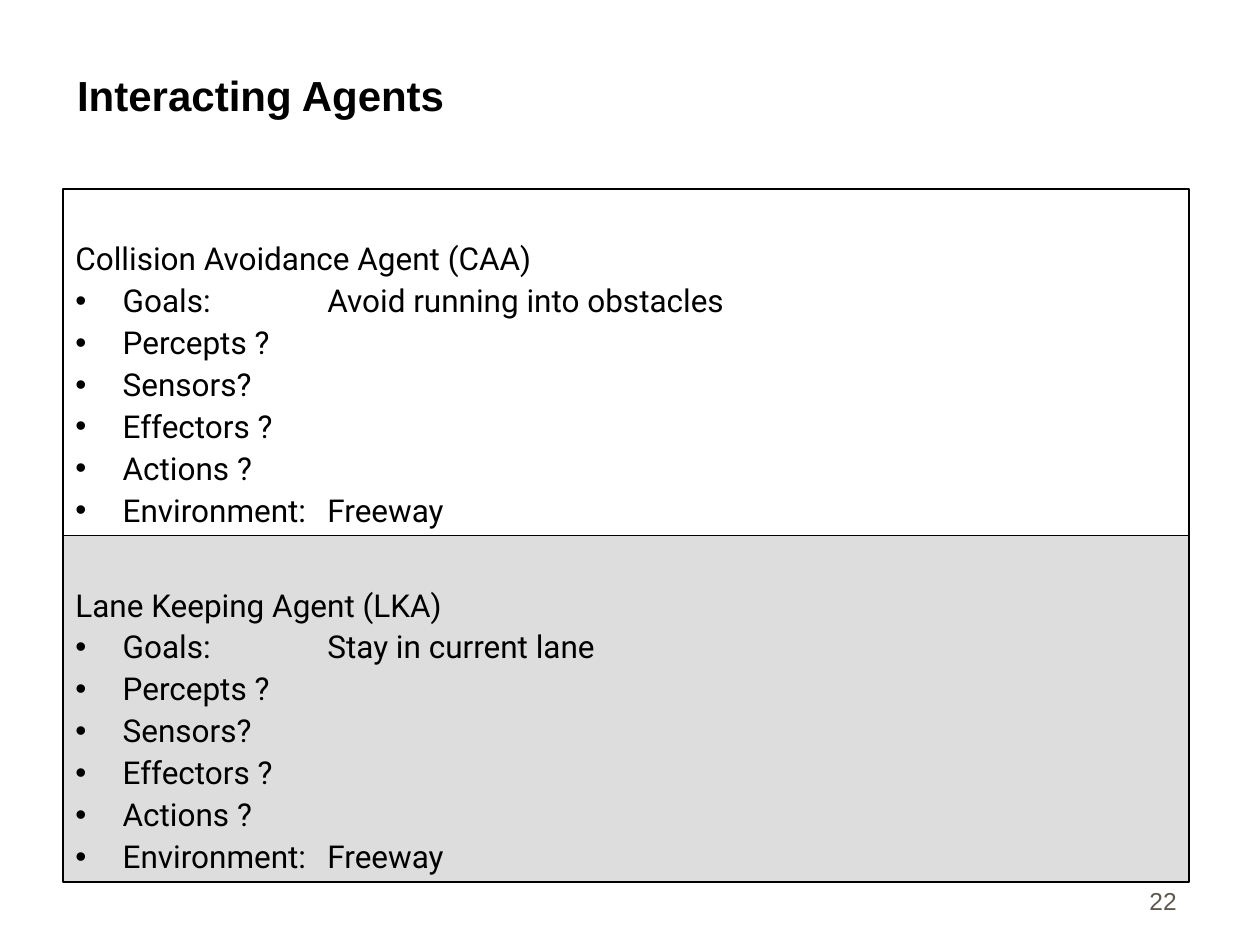
from lxml import etree
from pptx import Presentation
from pptx.dml.color import RGBColor
from pptx.enum.shapes import MSO_SHAPE
from pptx.enum.text import MSO_ANCHOR, PP_ALIGN
from pptx.oxml.ns import qn
from pptx.util import Pt

RECT = MSO_SHAPE.RECTANGLE
TOP, BOTTOM = MSO_ANCHOR.TOP, MSO_ANCHOR.BOTTOM
LEFT, RIGHT = PP_ALIGN.LEFT, PP_ALIGN.RIGHT

# Content
TITLE = "Interacting Agents"
NUMBER = "22"
AGENTS = [
    ("Collision Avoidance Agent (CAA)", "Avoid running into obstacles", None),
    ("Lane Keeping Agent (LKA)", "Stay in current lane", "panel"),
]
ASPECTS = ["Goals:\t{goal}", "Percepts ?", "Sensors?", "Effectors ?",
           "Actions ?", "Environment:\tFreeway"]

# Format
COLORS = {"ink": "000000", "panel": "DDDDDD", "number": "5E574E"}
HEAD = {"name": "Arial", "size": Pt(24), "bold": True}
BODY = {"name": "Roboto", "size": Pt(18), "bold": False}
SMALL = {"name": "Arial", "size": Pt(14), "bold": False}
X, Y, WIDE, HIGH = 36, 108, 643.5, 198
INDENT, STOP = 27, 144


def color(key):
    return RGBColor.from_string(COLORS[key])


def set_all(item, values):
    for name, value in values.items():
        setattr(item, name, value)


def set_frame(shape, top=3.6, anchor=TOP):
    frame = shape.text_frame
    set_all(frame, {
        "word_wrap": True, "vertical_anchor": anchor,
        "margin_left": Pt(7.2), "margin_right": Pt(7.2),
        "margin_top": Pt(top), "margin_bottom": Pt(3.6)})
    return frame


def write(para, text, font, ink="ink", **layout):
    set_all(para, layout)
    run = para.add_run()
    run.text = text
    set_all(run.font, font)
    run.font.color.rgb = color(ink)


def add_bullet(para):
    props = para._p.get_or_add_pPr()
    props.set("marL", str(Pt(INDENT)))
    props.set("indent", str(-Pt(INDENT)))
    etree.SubElement(props, qn("a:buFont"), typeface="Arial")
    etree.SubElement(props, qn("a:buChar"), char="•")
    tabs = etree.SubElement(props, qn("a:tabLst"))
    etree.SubElement(tabs, qn("a:tab"), pos=str(Pt(STOP)), algn="l")


def add_label(slide, box, text, font, ink="ink", align=LEFT):
    label = slide.shapes.add_textbox(*map(Pt, box))
    frame = set_frame(label, anchor=BOTTOM)
    write(frame.paragraphs[0], text, font, ink, alignment=align)


def add_agent(slide, top, name, goal, fill):
    box = slide.shapes.add_shape(RECT, *map(Pt, (X, top, WIDE, HIGH)))
    box.shadow.inherit = False
    if fill:
        box.fill.solid()
        box.fill.fore_color.rgb = color(fill)
    else:
        box.fill.background()
    box.line.color.rgb = color("ink")
    box.line.width = Pt(0.75)

    # Heading, then bulleted aspects
    frame = set_frame(box, top=31)
    write(frame.paragraphs[0], name, BODY, alignment=LEFT, line_spacing=0.9)
    for aspect in ASPECTS:
        para = frame.add_paragraph()
        write(para, aspect.format(goal=goal), BODY, alignment=LEFT,
              line_spacing=0.9, space_before=Pt(4.5))
        add_bullet(para)


def main():
    deck = Presentation()
    deck.slide_width, deck.slide_height = Pt(720), Pt(540)
    slide = deck.slides.add_slide(deck.slide_layouts[6])

    add_label(slide, (37, 18, 642, 54), TITLE, HEAD)
    for row, agent in enumerate(AGENTS):
        add_agent(slide, Y + row * HIGH, *agent)
    add_label(slide, (530, 490.5, 149.5, 36), NUMBER, SMALL, "number", RIGHT)

    deck.save("out.pptx")


if __name__ == "__main__":
    main()
